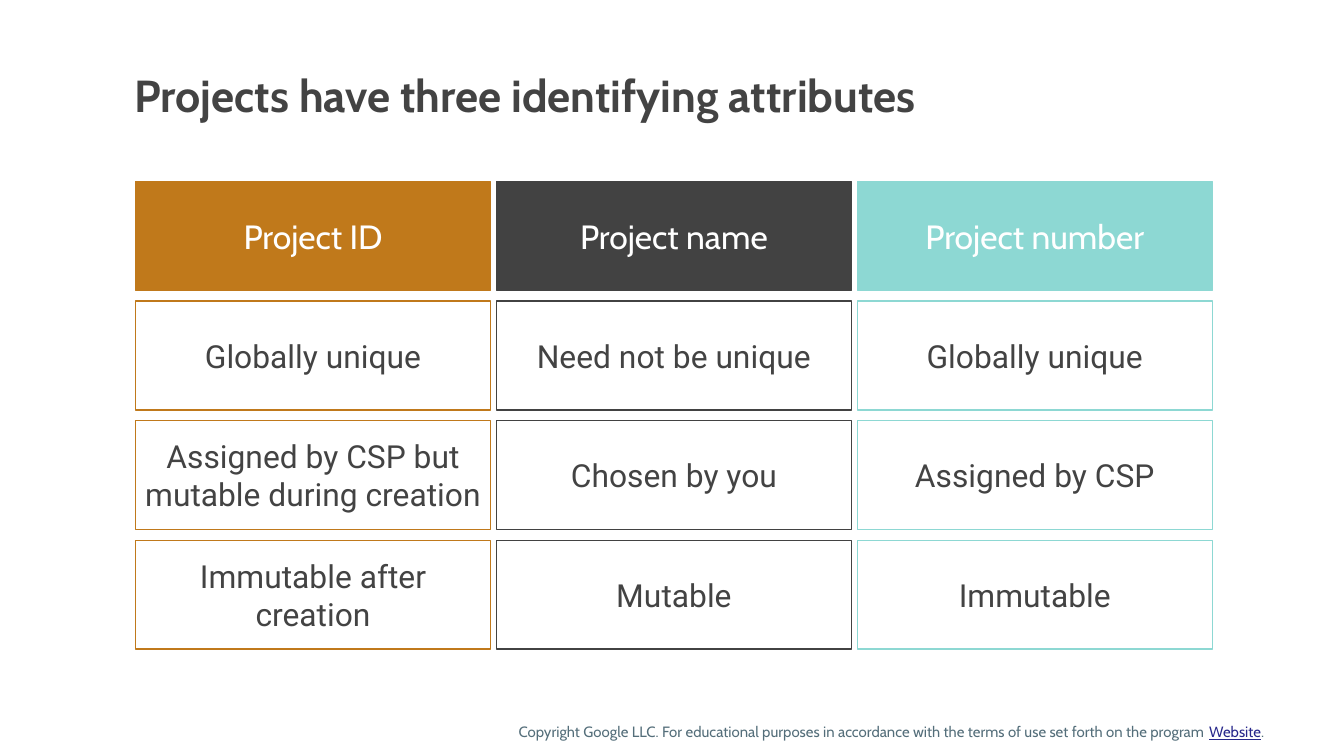
from dataclasses import dataclass

from pptx import Presentation
from pptx.dml.color import RGBColor
from pptx.enum import shapes, text
from pptx.util import Inches, Pt

COLORS = {
    "ochre": "C0791B",
    "coal": "424242",
    "aqua": "8DD8D3",
    "ink": "434343",
    "white": "FFFFFF",
    "slate": "546E7A",
    "link": "27278B",
}
LEFT, TOP, RIGHT = 1.01, 1.35, 9.02
WIDTH, HEIGHT = 2.64, 0.81


@dataclass
class Column:
    color: str
    head: str
    facts: tuple[str, ...]


COLUMNS = [
    Column("ochre", "Project ID", (
        "Globally unique",
        "Assigned by CSP but mutable during creation",
        "Immutable after creation",
    )),
    Column("coal", "Project name", (
        "Need not be unique", "Chosen by you", "Mutable",
    )),
    Column("aqua", "Project number", (
        "Globally unique", "Assigned by CSP", "Immutable",
    )),
]
STEP_X = (RIGHT - WIDTH - LEFT) / (len(COLUMNS) - 1)
STEP_Y = 0.89


def rgb(name: str) -> RGBColor:
    return RGBColor.from_string(COLORS[name])


def add_run(para, words: str, size: float, face: str, color: str,
            bold: bool = False, under: bool = False) -> None:
    run = para.add_run()
    run.text = words
    font = run.font
    font.size, font.name = Pt(size), face
    font.bold, font.underline = bold, under
    font.color.rgb = rgb(color)


def set_frame(frame, anchor, left: float, top: float,
              right: float, bottom: float) -> None:
    """Wrap the text and set its anchor and insets in inches."""
    frame.word_wrap = True
    frame.auto_size = text.MSO_AUTO_SIZE.NONE
    frame.vertical_anchor = anchor
    frame.margin_left, frame.margin_top = Inches(left), Inches(top)
    frame.margin_right, frame.margin_bottom = Inches(right), Inches(bottom)


def add_cell(slide, col: int, row: int, color: str, words: str) -> None:
    """Draw one grid cell; row 0 is the filled header."""
    cell = slide.shapes.add_shape(
        shapes.MSO_SHAPE.RECTANGLE,
        Inches(LEFT + col * STEP_X), Inches(TOP + row * STEP_Y),
        Inches(WIDTH), Inches(HEIGHT))
    cell.shadow.inherit = False
    cell.line.color.rgb = rgb(color)
    cell.line.width = Pt(0.75)
    set_frame(cell.text_frame, text.MSO_ANCHOR.MIDDLE, 0.05, 0.05, 0.05, 0.05)
    para = cell.text_frame.paragraphs[0]
    para.alignment = text.PP_ALIGN.CENTER
    if row == 0:
        cell.fill.solid()
        cell.fill.fore_color.rgb = rgb(color)
        add_run(para, words, 18, "Cabin", "white")
    else:
        cell.fill.background()
        add_run(para, words, 17, "Roboto", "ink")


def add_title(slide, words: str) -> None:
    title = slide.shapes.title
    title.left, title.top = Inches(1), Inches(0.5)
    title.width, title.height = Inches(8), Inches(0.59)
    set_frame(title.text_frame, text.MSO_ANCHOR.TOP, 0, 0, 0.05, 0.05)
    para = title.text_frame.paragraphs[0]
    para.alignment = text.PP_ALIGN.LEFT
    add_run(para, words, 24, "Cabin", "ink", bold=True)


def add_footer(slide) -> None:
    box = slide.shapes.add_textbox(
        Inches(3.76), Inches(5.26), Inches(6.19), Inches(0.29))
    set_frame(box.text_frame, text.MSO_ANCHOR.TOP, 0.1, 0.1, 0.1, 0.1)
    para = box.text_frame.paragraphs[0]
    para.line_spacing = 1.15
    add_run(para, "Copyright Google LLC. For educational purposes in accordance "
            "with the terms of use set forth on the program ", 8, "Cabin", "slate")
    add_run(para, "Website", 8, "Cabin", "link", under=True)
    add_run(para, ".", 8, "Cabin", "slate")


def main() -> None:
    deck = Presentation()
    deck.slide_width = Inches(10)
    deck.slide_height = deck.slide_width * 9 // 16
    slide = deck.slides.add_slide(deck.slide_layouts[5])
    add_title(slide, "Projects have three identifying attributes")
    for col, item in enumerate(COLUMNS):
        for row, words in enumerate((item.head, *item.facts)):
            add_cell(slide, col, row, item.color, words)
    add_footer(slide)
    deck.save("out.pptx")


if __name__ == "__main__":
    main()
